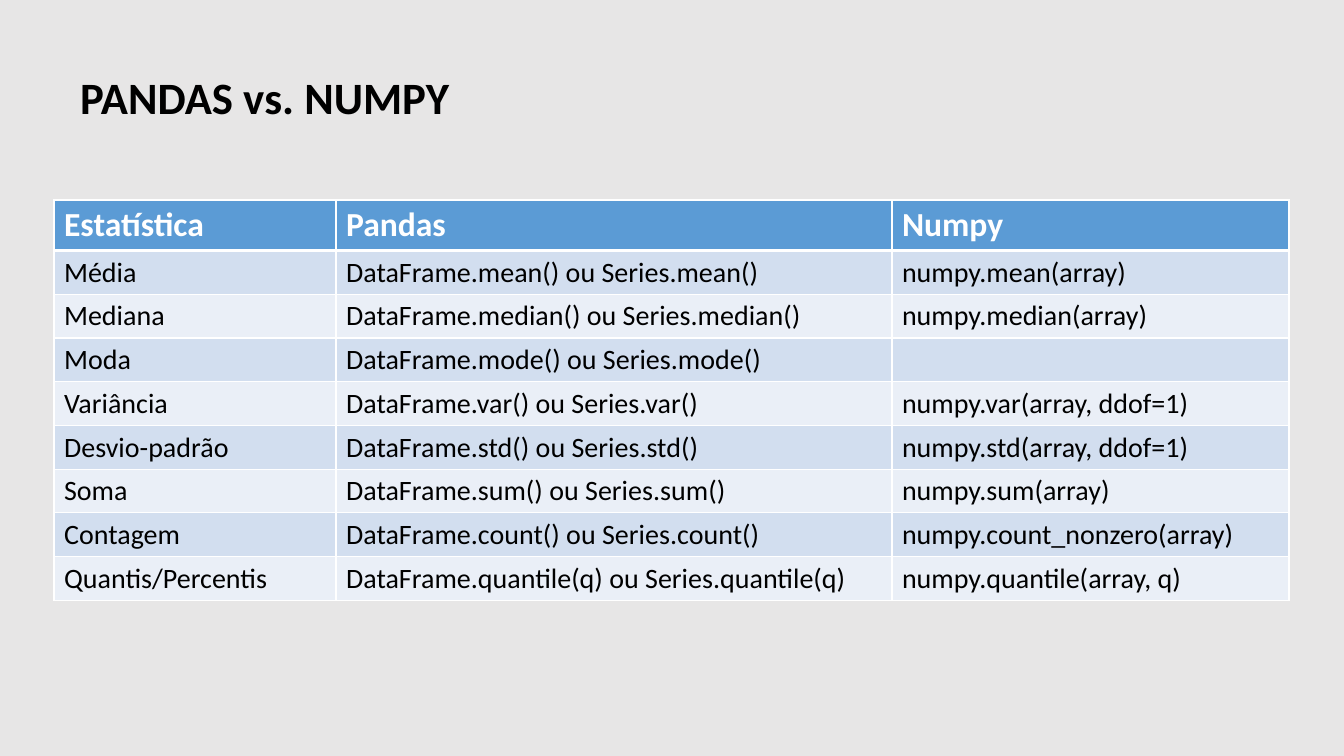
from lxml import etree
from pptx import Presentation
from pptx.dml.color import RGBColor
from pptx.enum.text import MSO_ANCHOR, MSO_AUTO_SIZE, PP_ALIGN
from pptx.oxml.ns import qn
from pptx.util import Emu, Pt

LEFT = PP_ALIGN.LEFT
TOP = MSO_ANCHOR.TOP
GROW = MSO_AUTO_SIZE.SHAPE_TO_FIT_TEXT

BLACK = RGBColor(0x00, 0x00, 0x00)
WHITE = RGBColor(0xFF, 0xFF, 0xFF)
GREY = RGBColor(0xE7, 0xE6, 0xE6)
BLUE = RGBColor(0x5B, 0x9B, 0xD5)
BAND_DARK = RGBColor(0xD2, 0xDE, 0xEF)
BAND_LIGHT = RGBColor(0xEA, 0xEF, 0xF7)

TITLE_ONLY = 5
COLUMN_WIDTHS = [282, 556, 397]
ROW_HEIGHT = 41
STATISTICS = [
    ("Estatística", "Pandas", "Numpy"),
    ("Média", "DataFrame.mean() ou Series.mean()", "numpy.mean(array)"),
    ("Mediana", "DataFrame.median() ou Series.median()", "numpy.median(array)"),
    ("Moda", "DataFrame.mode() ou Series.mode()", ""),
    ("Variância", "DataFrame.var() ou Series.var()", "numpy.var(array, ddof=1)"),
    ("Desvio-padrão", "DataFrame.std() ou Series.std()", "numpy.std(array, ddof=1)"),
    ("Soma", "DataFrame.sum() ou Series.sum()", "numpy.sum(array)"),
    ("Contagem", "DataFrame.count() ou Series.count()", "numpy.count_nonzero(array)"),
    ("Quantis/Percentis", "DataFrame.quantile(q) ou Series.quantile(q)",
     "numpy.quantile(array, q)"),
]


def px(n):
    """Turn pixels, 100.8 to the inch, into EMU."""
    return Emu(round(n * 914400 / 100.8))


class SlideBuilder:
    font = "Calibri"

    def __init__(self, prs, background):
        self.slide = prs.slides.add_slide(prs.slide_layouts[TITLE_ONLY])
        fill = self.slide.background.fill
        fill.solid()
        fill.fore_color.rgb = background

    def run(self, p, text, size, color, bold=False):
        r = p.add_run()
        r.text = text
        r.font.name = self.font
        r.font.size = Pt(size)
        r.font.bold = bold
        r.font.color.rgb = color

    def title(self, text, left, top, width, height):
        sp = self.slide.shapes.title
        sp.left, sp.top, sp.width, sp.height = map(px, (left, top, width, height))
        tf = sp.text_frame
        tf.word_wrap = False
        tf.auto_size = GROW
        tf.vertical_anchor = TOP
        p = tf.paragraphs[0]
        p.alignment = LEFT
        self.run(p, text, 32, BLACK, bold=True)

    def borders(self, cell, top=1, bottom=1):
        """Draw white cell borders, with widths in points."""
        tc_pr = cell._tc.get_or_add_tcPr()
        widths = {"lnL": 1, "lnR": 1, "lnT": top, "lnB": bottom}
        for i, (tag, width) in enumerate(widths.items()):
            ln = etree.Element(qn(f"a:{tag}"), w=str(Pt(width)))
            fill = etree.SubElement(ln, qn("a:solidFill"))
            etree.SubElement(fill, qn("a:srgbClr"), val=str(WHITE))
            tc_pr.insert(i, ln)

    def table(self, rows, left, top, widths, row_height):
        frame = self.slide.shapes.add_table(
            len(rows), len(widths), px(left), px(top),
            px(sum(widths)), px(row_height * len(rows)))
        table = frame.table
        for column, width in zip(table.columns, widths):
            column.width = px(width)
        for i, texts in enumerate(rows):
            table.rows[i].height = px(row_height)
            header = i == 0
            band = BLUE if header else BAND_DARK if i % 2 else BAND_LIGHT
            size, color = (24, WHITE) if header else (20, BLACK)
            for j, text in enumerate(texts):
                cell = table.cell(i, j)
                cell.fill.solid()
                cell.fill.fore_color.rgb = band
                self.borders(cell, top=3 if i == 1 else 1, bottom=3 if header else 1)
                if text:
                    self.run(cell.text_frame.paragraphs[0], text, size, color, header)


def main():
    prs = Presentation()
    prs.slide_width, prs.slide_height = px(1344), px(756)
    s = SlideBuilder(prs, GREY)
    s.title("PANDAS vs. NUMPY", 70, 65, 393, 65)
    s.table(STATISTICS, 54, 200, COLUMN_WIDTHS, ROW_HEIGHT)
    prs.save("out.pptx")


if __name__ == "__main__":
    main()
